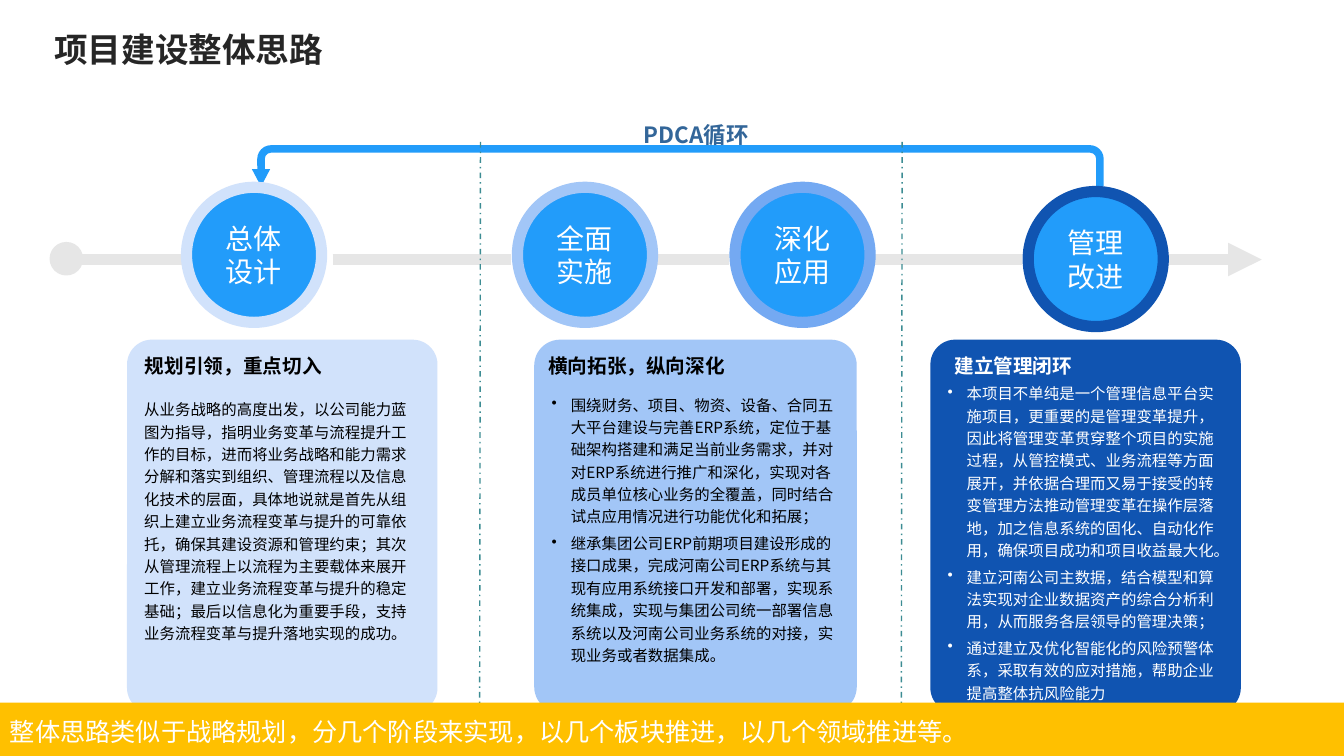
from dataclasses import dataclass

import pptx
import pptx.dml.color
import pptx.enum.dml
import pptx.enum.shapes
import pptx.enum.text
import pptx.oxml
import pptx.oxml.ns
import pptx.util

RGB = pptx.dml.color.RGBColor
Pt = pptx.util.Pt
KIND = pptx.enum.shapes.MSO_SHAPE
ALIGN = pptx.enum.text.PP_ALIGN
ANCHOR = pptx.enum.text.MSO_ANCHOR

WHITE = RGB(0xFF, 0xFF, 0xFF)
BLACK = RGB(0x00, 0x00, 0x00)
INK = RGB(0x26, 0x26, 0x26)
BLUE = RGB(0x22, 0x9C, 0xFA)
PALE = RGB(0xD1, 0xE2, 0xFB)
LIGHT = RGB(0xA2, 0xC6, 0xF7)
MID = RGB(0x74, 0xA9, 0xF2)
DEEP = RGB(0x10, 0x54, 0xB1)
STEEL = RGB(0x33, 0x66, 0x99)
GREY = RGB(0xE6, 0xE6, 0xE6)
TEAL = RGB(0x3C, 0x8C, 0x93)
GOLD = RGB(0xFF, 0xC0, 0x00)

FONT = "Noto Sans CJK SC"
WIDE, HIGH = pptx.util.Inches(13.33), pptx.util.Inches(7.5)
COLS, ROWS = 160, 90
RING = 16.08  # circle size in columns
AXIS = 30.9  # row of the timeline


@dataclass
class Stage:
    text: str
    left: float
    top: float
    rim: RGB


@dataclass
class Card:
    head: str
    body: list[str]
    left: float
    width: float
    inset: float
    tab: float
    fill: RGB
    ink: RGB
    dots: bool = True


STAGES = [
    Stage("总体\n设计", 22.2, 22.3, PALE),
    Stage("全面\n实施", 61.6, 22.3, LIGHT),
    Stage("深化\n应用", 87.5, 22.3, MID),
    Stage("管理\n改进", 122.4, 22.8, DEEP),
]
LINKS = [(9.7, 22.2), (39.6, 60.8), (78.2, 86.8), (104.2, 121.7), (139.1, 150.2)]
CARDS = [
    Card("规划引领，重点切入", [
        "从业务战略的高度出发，以公司能力蓝图为指导，指明业务变革与流程提升工作的目标，"
        "进而将业务战略和能力需求分解和落实到组织、管理流程以及信息化技术的层面，"
        "具体地说就是首先从组织上建立业务流程变革与提升的可靠依托，确保其建设资源和管理约束；"
        "其次从管理流程上以流程为主要载体来展开工作，建立业务流程变革与提升的稳定基础；"
        "最后以信息化为重要手段，支持业务流程变革与提升落地实现的成功。",
    ], 15.12, 36.96, 5.9, 16.08, PALE, BLACK, False),
    Card("横向拓张，纵向深化", [
        "围绕财务、项目、物资、设备、合同五大平台建设与完善ERP系统，"
        "定位于基础架构搭建和满足当前业务需求，并对对ERP系统进行推广和深化，"
        "实现对各成员单位核心业务的全覆盖，同时结合试点应用情况进行功能优化和拓展；",
        "继承集团公司ERP前期项目建设形成的接口成果，完成河南公司ERP系统与其现有应用系统接口开发和部署，"
        "实现系统集成，实现与集团公司统一部署信息系统以及河南公司业务系统的对接，实现业务或者数据集成。",
    ], 63.6, 38.4, 5.3, 64.08, LIGHT, BLACK),
    Card("建立管理闭环", [
        "本项目不单纯是一个管理信息平台实施项目，更重要的是管理变革提升，"
        "因此将管理变革贯穿整个项目的实施过程，从管控模式、业务流程等方面展开，"
        "并依据合理而又易于接受的转变管理方法推动管理变革在操作层落地，"
        "加之信息系统的固化、自动化作用，确保项目成功和项目收益最大化。",
        "建立河南公司主数据，结合模型和算法实现对企业数据资产的综合分析利用，从而服务各层领导的管理决策；",
        "通过建立及优化智能化的风险预警体系，采取有效的应对措施，帮助企业提高整体抗风险能力",
    ], 110.76, 36.96, 4, 112.44, DEEP, WHITE),
]

deck = pptx.Presentation()
deck.slide_width, deck.slide_height = WIDE, HIGH
slide = deck.slides.add_slide(deck.slide_layouts[6])


def across(cols: float) -> int:
    return round(WIDE * cols / COLS)


def down(rows: float) -> int:
    return round(HIGH * rows / ROWS)


def node(tag: str, **attrs: str):
    item = pptx.oxml.parse_xml(f"<a:{tag} {pptx.oxml.ns.nsdecls('a')}/>")
    for key, value in attrs.items():
        item.set(key, value)
    return item


def style(frame, size: float, ink: RGB, bold: bool = False, align=ALIGN.LEFT) -> None:
    for para in frame.paragraphs:
        para.alignment = align
        for run in para.runs:
            run.font.size, run.font.bold = Pt(size), bold
            run.font.color.rgb = ink
            run.font.name = FONT
            run.font.element.append(node("ea", typeface=FONT)) if hasattr(run.font, "element") \
                else run._r.get_or_add_rPr().append(node("ea", typeface=FONT))


def label(text: str, left: float, top: float, width: float, height: float,
          size: float, ink: RGB, align=ALIGN.LEFT) -> None:
    box = slide.shapes.add_textbox(across(left), down(top), across(width), down(height))
    frame = box.text_frame
    frame.word_wrap = True
    frame.vertical_anchor = ANCHOR.MIDDLE
    frame.text = text
    style(frame, size, ink, True, align)


def block(kind, left: float, top: float, width: float, height: float, fill: RGB):
    item = slide.shapes.add_shape(kind, across(left), down(top), across(width), down(height))
    item.shadow.inherit = False
    item.fill.solid()
    item.fill.fore_color.rgb = fill
    item.line.fill.background()
    return item


def line(x1: float, y1: float, x2: float, y2: float, ink: RGB, width: float):
    item = slide.shapes.add_connector(pptx.enum.shapes.MSO_CONNECTOR.STRAIGHT,
                                      across(x1), down(y1), across(x2), down(y2))
    item.line.color.rgb, item.line.width = ink, Pt(width)
    item.element.spPr.append(node("effectLst"))
    return item


def circle(stage: Stage) -> None:
    item = block(KIND.OVAL, stage.left, stage.top, RING, RING, BLUE)
    item.line.color.rgb, item.line.width = stage.rim, Pt(8)
    frame = item.text_frame
    frame.word_wrap = False
    frame.vertical_anchor = ANCHOR.MIDDLE
    frame.text = stage.text
    style(frame, 20, WHITE, align=ALIGN.CENTER)


def panel(card: Card) -> None:
    item = block(KIND.ROUNDED_RECTANGLE, card.left, 40.44, card.width, 44.4, card.fill)
    item.adjustments[0] = 0.08
    frame = item.text_frame
    frame.word_wrap = True
    frame.vertical_anchor = ANCHOR.TOP
    frame.margin_top = down(card.inset)
    frame.text = "\n".join(card.body)
    for para in frame.paragraphs:
        if card.dots:
            props = para._p.get_or_add_pPr()
            props.set("marL", str(across(2.28)))
            props.set("indent", str(-across(2.28)))
            props.append(node("buChar", char="•"))
        para.line_spacing, para.space_after = Pt(16), Pt(3)
    style(frame, 11, card.ink)
    label(card.head, card.tab, 41.5, 33.96, 4.1, 14, card.ink)


# Title
label("项目建设整体思路", 5.28, 2.76, 127.2, 6.12, 24, INK)

# Timeline
for start, end in LINKS:
    link = line(start, AXIS, end, AXIS, GREY, 8)
link.line._get_or_add_ln().append(node("tailEnd", type="triangle"))
block(KIND.OVAL, 5.9, 28.8, 4, 4, GREY)

# Cards
for card in CARDS:
    panel(card)

# Feedback loop
loop = block(KIND.U_TURN_ARROW, 30, 17.28, 101.4, 4.92, BLUE)
loop.element.spPr.xfrm.set("flipH", "1")
for spot, share in enumerate((0.182, 0.22, 0.418, 0.333, 1)):
    loop.adjustments[spot] = share
label("PDCA循环", 70.1, 13.8, 25.56, 4.44, 16, STEEL, ALIGN.CENTER)

# Phase dividers
for col in (57.2, 107.4):
    line(col, 16.9, col - 0.1, 84, TEAL, 1).line.dash_style = \
        pptx.enum.dml.MSO_LINE.DASH_DOT

# Stages
for stage in STAGES:
    circle(stage)

# Summary bar
bar = block(KIND.RECTANGLE, 0, 83.64, COLS, 6.6, GOLD).text_frame
bar.word_wrap = True
bar.vertical_anchor = ANCHOR.TOP
bar.text = "整体思路类似于战略规划，分几个阶段来实现，以几个板块推进，以几个领域推进等。"
bar.paragraphs[0].line_spacing = 1.3
style(bar, 18, WHITE)

deck.save("out.pptx")
